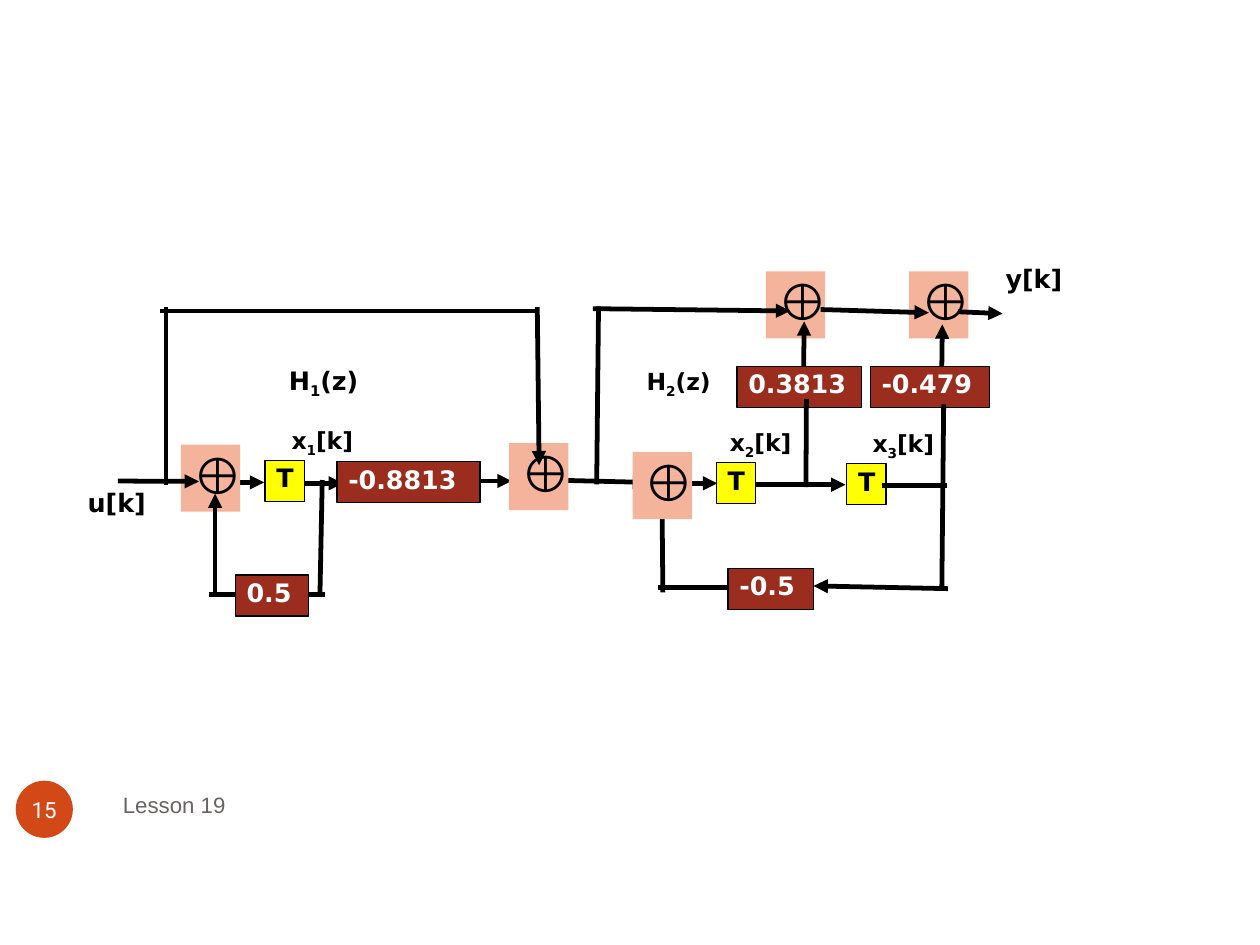
from lxml.etree import SubElement
from pptx import Presentation
from pptx.dml.color import RGBColor
from pptx.enum.shapes import MSO_CONNECTOR, MSO_SHAPE
from pptx.enum.text import MSO_ANCHOR, PP_ALIGN
from pptx.oxml.ns import qn
from pptx.util import Cm, Pt

COLORS = {
    "black": "000000", "white": "FFFFFF", "sum": "F4B39B", "delay": "FFFF00",
    "gain": "9B2D1F", "badge": "D34817", "footer": "696464",
}
BLOCK_HEIGHT = 0.91
DELAY_WIDTH = 0.87
SUM_SIZE = (1.32, 1.49)

BOLD = {"name": "DejaVu Sans", "size": Pt(16), "bold": True}
SMALL = BOLD | {"size": Pt(14.8)}
SUM_FONT = {"name": "Arial", "size": Pt(32), "bold": True}
FOOTER_FONT = {"name": "Arial", "size": Pt(14)}
BADGE_FONT = {"name": "Roboto", "size": Pt(14)}
TIGHT = {"line_spacing": 0.9}

SUMS = [(4.02, 9.88), (11.31, 9.85), (14.06, 10.05), (17.02, 6.03), (20.2, 6.03)]
DELAYS = [(5.89, 10.23), (15.92, 10.28), (18.82, 10.31)]
GAINS = [
    ("0.5", 5.23, 12.78, 1.63),
    ("-0.8813", 7.49, 10.26, 3.18),
    ("-0.5", 16.18, 12.63, 1.9),
    ("0.3813", 16.38, 8.14, 2.76),
    ("-0.479", 19.34, 8.14, 2.65),
]
LABELS = [
    (["u[k]"], 1.7, 10.77, BOLD, TIGHT),
    (["y[k]"], 22.1, 5.81, BOLD, TIGHT),
    (["x", "1", "[k]"], 6.23, 9.35, SMALL, TIGHT),
    (["x", "2", "[k]"], 15.97, 9.4, SMALL, TIGHT),
    (["x", "3", "[k]"], 19.14, 9.42, SMALL, TIGHT),
    (["H", "1", "(z)"], 6.17, 7.98, BOLD, {}),
    (["H", "2", "(z)"], 14.12, 8.04, SMALL, TIGHT),
]
ARROWS_BEHIND = [
    (5.13, 10.72, 5.87, 10.72), (6.73, 10.74, 7.62, 10.74),
    (21.01, 13.08, 18.08, 13.02), (15.06, 10.74, 15.94, 10.74),
    (12.32, 10.67, 14.38, 10.72), (10.67, 10.69, 11.37, 10.69),
    (14.73, 13.11, 14.71, 11.0),
]
WIRES_BEHIND = [(7.11, 13.21, 7.16, 10.72), (7.16, 13.21, 4.7, 13.21)]
ARROWS_FRONT = [
    (4.78, 13.16, 4.78, 10.97), (2.67, 10.69, 4.42, 10.7),
    (11.94, 6.88, 11.98, 10.34), (16.84, 10.77, 18.79, 10.77),
    (13.23, 6.86, 17.56, 6.91), (17.86, 8.08, 17.87, 7.14),
    (20.93, 8.08, 20.94, 7.21), (21.34, 6.93, 22.28, 6.97),
    (18.29, 6.88, 20.64, 6.95),
]
WIRES_FRONT = [
    (3.69, 10.72, 3.69, 6.88), (3.61, 6.91, 11.86, 6.91),
    (16.15, 13.06, 14.68, 13.06), (20.93, 13.06, 20.97, 9.04),
    (21.0, 10.79, 19.66, 10.79), (17.91, 10.77, 17.92, 8.92),
    (13.26, 10.71, 13.3, 6.86),
]


def color(name):
    return RGBColor.from_string(COLORS[name])


def apply(target, values):
    for name, value in values.items():
        setattr(target, name, value)


def write(shape, parts, font, ink, layout, frame=None):
    apply(shape.text_frame, {"word_wrap": True} | (frame or {}))
    paragraph = shape.text_frame.paragraphs[0]
    apply(paragraph, {"alignment": PP_ALIGN.LEFT} | layout)
    for index, part in enumerate(parts):
        run = paragraph.add_run()
        run.text = part
        apply(run.font, font)
        run.font.color.rgb = color(ink)
        if index == 1:
            run._r.get_or_add_rPr().set("baseline", "-25000")


def add_block(slide, kind, box, fill, outlined):
    shape = slide.shapes.add_shape(kind, *map(Cm, box))
    shape.shadow.inherit = False
    shape.fill.solid()
    shape.fill.fore_color.rgb = color(fill)
    if outlined:
        shape.line.color.rgb = color("black")
        shape.line.width = Pt(0.75)
    else:
        shape.line.fill.background()
    shape.text_frame.vertical_anchor = MSO_ANCHOR.TOP
    return shape


def add_text(slide, box, *text):
    write(slide.shapes.add_textbox(*map(Cm, box)), *text)


def add_wires(slide, wires, arrow):
    for ends in wires:
        wire = slide.shapes.add_connector(MSO_CONNECTOR.STRAIGHT, *map(Cm, ends))
        wire.line.color.rgb = color("black")
        wire.line.width = Pt(3)
        properties = wire._element.spPr
        outline = properties.find(qn("a:ln"))
        outline.set("cap", "sq")
        if arrow:
            SubElement(outline, qn("a:tailEnd"), type="triangle")
        SubElement(properties, qn("a:effectLst"))


def main():
    presentation = Presentation()
    apply(presentation, {"slide_width": Cm(28), "slide_height": Cm(21)})
    slide = presentation.slides.add_slide(presentation.slide_layouts[6])

    add_wires(slide, WIRES_BEHIND, False)
    add_wires(slide, ARROWS_BEHIND, True)

    blocks = [("⊕", (*place, *SUM_SIZE), "sum", SUM_FONT, "black") for place in SUMS]
    blocks += [("T", (*place, DELAY_WIDTH, BLOCK_HEIGHT), "delay", BOLD, "black")
               for place in DELAYS]
    blocks += [(gain, (*place, BLOCK_HEIGHT), "gain", BOLD, "white")
               for gain, *place in GAINS]
    for text, box, fill, font, ink in blocks:
        shape = add_block(slide, MSO_SHAPE.RECTANGLE, box, fill, fill != "sum")
        write(shape, [text], font, ink, TIGHT)

    add_wires(slide, WIRES_FRONT, False)
    add_wires(slide, ARROWS_FRONT, True)

    for parts, left, top, font, layout in LABELS:
        add_text(slide, (left, top, 2.3, BLOCK_HEIGHT), parts, font, "black", layout)

    middle = {"vertical_anchor": MSO_ANCHOR.MIDDLE}
    add_text(slide, (2.48, 17.24, 11, 1.27), ["Lesson 19"], FOOTER_FONT, "footer", {}, middle)
    badge = add_block(slide, MSO_SHAPE.OVAL, (0.35, 17.35, 1.27, 1.27), "badge", False)
    margins = {f"margin_{side}": 0 for side in ("left", "top", "right", "bottom")}
    write(badge, ["15"], BADGE_FONT, "white", {"alignment": PP_ALIGN.CENTER},
          middle | margins | {"word_wrap": False})

    presentation.save("out.pptx")


if __name__ == "__main__":
    main()
